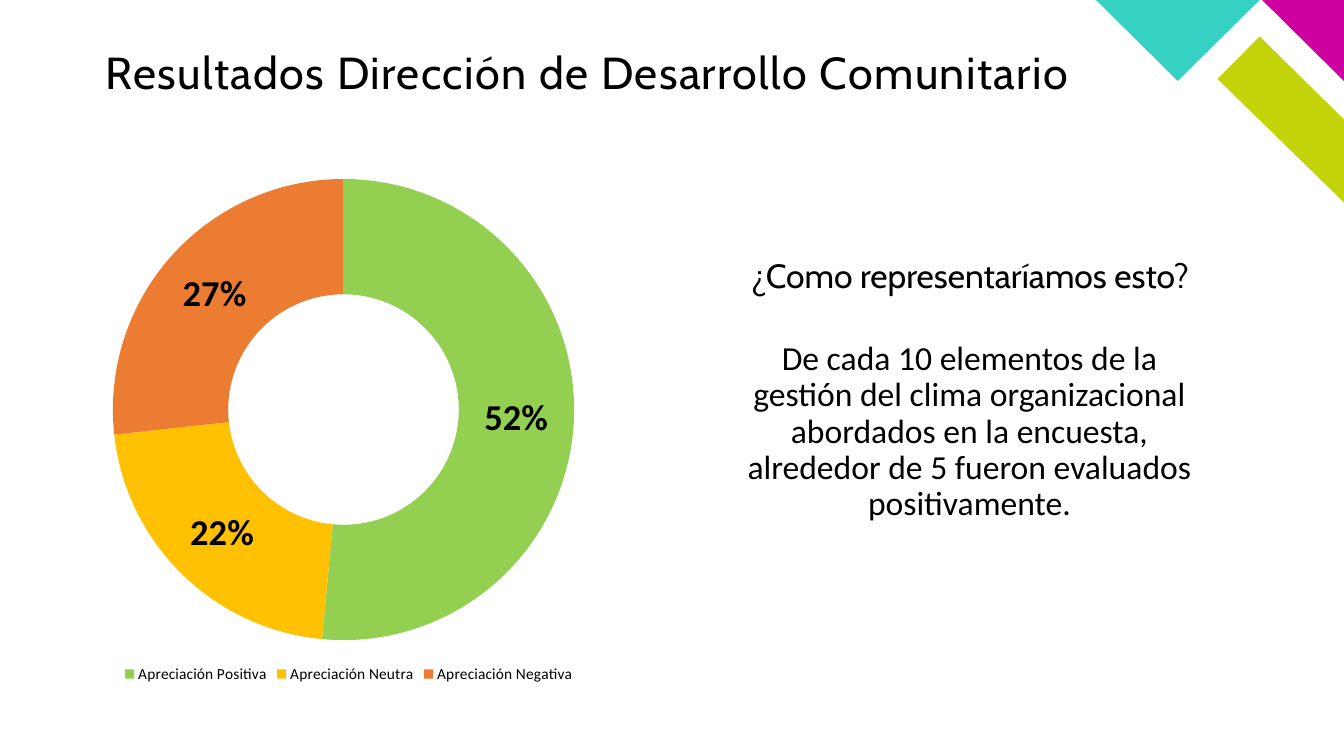
from dataclasses import dataclass

from lxml import etree
from pptx import Presentation
from pptx.chart.data import CategoryChartData
from pptx.dml.color import RGBColor
from pptx.enum.chart import XL_CHART_TYPE, XL_LEGEND_POSITION
from pptx.enum.text import MSO_ANCHOR, MSO_AUTO_SIZE, PP_ALIGN
from pptx.oxml.ns import qn
from pptx.util import Inches, Pt

DOUGHNUT = XL_CHART_TYPE.DOUGHNUT
BOTTOM = XL_LEGEND_POSITION.BOTTOM
TOP, MIDDLE = MSO_ANCHOR.TOP, MSO_ANCHOR.MIDDLE
NO_FIT = MSO_AUTO_SIZE.NONE
LEFT, CENTER = PP_ALIGN.LEFT, PP_ALIGN.CENTER
WIDTH, HEIGHT = 13.33, 7.5
TWO_CONTENT = 3


@dataclass(frozen=True)
class Theme:
    heading: str = "Cabin"
    body: str = "Calibri"
    ink: str = "000000"
    lime: str = "C4D40A"
    magenta: str = "CE009F"
    turquoise: str = "35D2C4"
    positive: str = "93D051"
    neutral: str = "FFC101"
    negative: str = "EC7C31"
    title_size: int = 32
    text_size: int = 24
    label_size: int = 26
    legend_size: int = 11


THEME = Theme()
RESULTS = (
    ("Apreciación Positiva", 0.52, THEME.positive),
    ("Apreciación Neutra", 0.22, THEME.neutral),
    ("Apreciación Negativa", 0.27, THEME.negative),
)


def style_font(font, size, name=THEME.body, bold=False):
    font.name, font.size, font.bold = name, Pt(size), bold
    font.color.rgb = RGBColor.from_string(THEME.ink)


def write(sp, text, box, *, size, name=THEME.body, align=CENTER,
          anchor=MIDDLE, inset=None, spacing=0):
    sp.left, sp.top, sp.width, sp.height = map(Inches, box)
    tf = sp.text_frame
    tf.word_wrap, tf.auto_size, tf.vertical_anchor = True, NO_FIT, anchor
    if inset is not None:
        tf.margin_left = tf.margin_top = Inches(inset)
        tf.margin_right = tf.margin_bottom = Inches(inset)
    p = tf.paragraphs[0]
    p.alignment, p.line_spacing, p.space_before = align, 0.9, Pt(0)
    pPr = p._p.get_or_add_pPr()
    pPr.set("marL", "0")
    pPr.set("indent", "0")
    etree.SubElement(pPr, qn("a:buNone"))
    r = p.add_run()
    r.text = text
    style_font(r.font, size, name)
    if spacing:
        r.font._element.set("spc", str(spacing * 100))


def add_corner(s, box):
    x, y, w, h = box
    band = ((1, 1), (1, 0.59), (0.66, 0.18), (0.49, 0.39))
    corner = ((1, 0.4), (1, 0), (0.67, 0))
    wedge = ((0, 0), (0.33, 0.4), (0.66, 0))
    for points, color in ((band, THEME.lime), (corner, THEME.magenta),
                          (wedge, THEME.turquoise)):
        pts = [(Inches(x + u * w), Inches(y + v * h)) for u, v in points]
        builder = s.shapes.build_freeform(*pts[0])
        builder.add_line_segments(pts[1:], close=True)
        sp = builder.convert_to_shape()
        sp.shadow.inherit = False
        sp.fill.solid()
        sp.fill.fore_color.rgb = RGBColor.from_string(color)
        sp.line.fill.background()


def set_plot_layout(chart, x, y, w, h):
    area = chart.element.find(".//" + qn("c:plotArea"))
    for old in area.findall(qn("c:layout")):
        area.remove(old)
    layout = etree.Element(qn("c:layout"))
    manual = etree.SubElement(layout, qn("c:manualLayout"))
    for tag, val in (("layoutTarget", "inner"), ("xMode", "edge"),
                     ("yMode", "edge"), ("x", x), ("y", y), ("w", w), ("h", h)):
        etree.SubElement(manual, qn(f"c:{tag}")).set("val", str(val))
    area.insert(0, layout)


def add_results_chart(s, box):
    data = CategoryChartData(number_format="0%")
    data.categories = [name for name, _, _ in RESULTS]
    data.add_series("Series 1", [value for _, value, _ in RESULTS])
    chart = s.shapes.add_chart(DOUGHNUT, *map(Inches, box), data).chart
    chart.has_title = False
    style_font(chart.font, THEME.legend_size)
    chart.has_legend = True
    chart.legend.position = BOTTOM
    chart.legend.include_in_layout = False
    style_font(chart.legend.font, THEME.legend_size)
    plot = chart.plots[0]
    plot.vary_by_categories = True
    for i, (_, _, color) in enumerate(RESULTS):
        point = plot.series[0].points[i].format
        point.fill.solid()
        point.fill.fore_color.rgb = RGBColor.from_string(color)
        point.line.fill.background()
    labels = plot.series[0].data_labels
    labels.show_value = True
    labels.show_percentage = False
    labels.number_format, labels.number_format_is_linked = "0%", False
    style_font(labels.font, THEME.label_size, bold=True)
    set_plot_layout(chart, 0.05, 0.03, 0.88, 0.88)


def add_interpretation(question, answer, box):
    x, y, w, h = box
    write(question, "¿Como representaríamos esto?", (x, y, w, h * 0.27),
          size=THEME.text_size, name=THEME.heading)
    write(answer, "De cada 10 elementos de la gestión del clima organizacional "
          "abordados en la encuesta, alrededor de 5 fueron evaluados "
          "positivamente.", (x + 0.06, y + h * 0.23, w - 0.13, h * 0.77),
          size=THEME.text_size)


def build_results_slide(prs):
    s = prs.slides.add_slide(prs.slide_layouts[TWO_CONTENT])
    title, answer, question = s.placeholders
    add_corner(s, (WIDTH - 2.46, 0, 2.46, 2.01))
    write(title, "Resultados Dirección de Desarrollo Comunitario",
          (1.05, 0.5, 10, 0.67), size=THEME.title_size, name=THEME.heading,
          align=LEFT, anchor=TOP, inset=0, spacing=1)
    add_interpretation(question, answer, (7.12, 2.32, 5, 3.2))
    add_results_chart(s, (0.86, 1.62, 5.2, 5.2))


def main():
    prs = Presentation()
    prs.slide_width, prs.slide_height = Inches(WIDTH), Inches(HEIGHT)
    build_results_slide(prs)
    prs.save("out.pptx")


if __name__ == "__main__":
    main()
